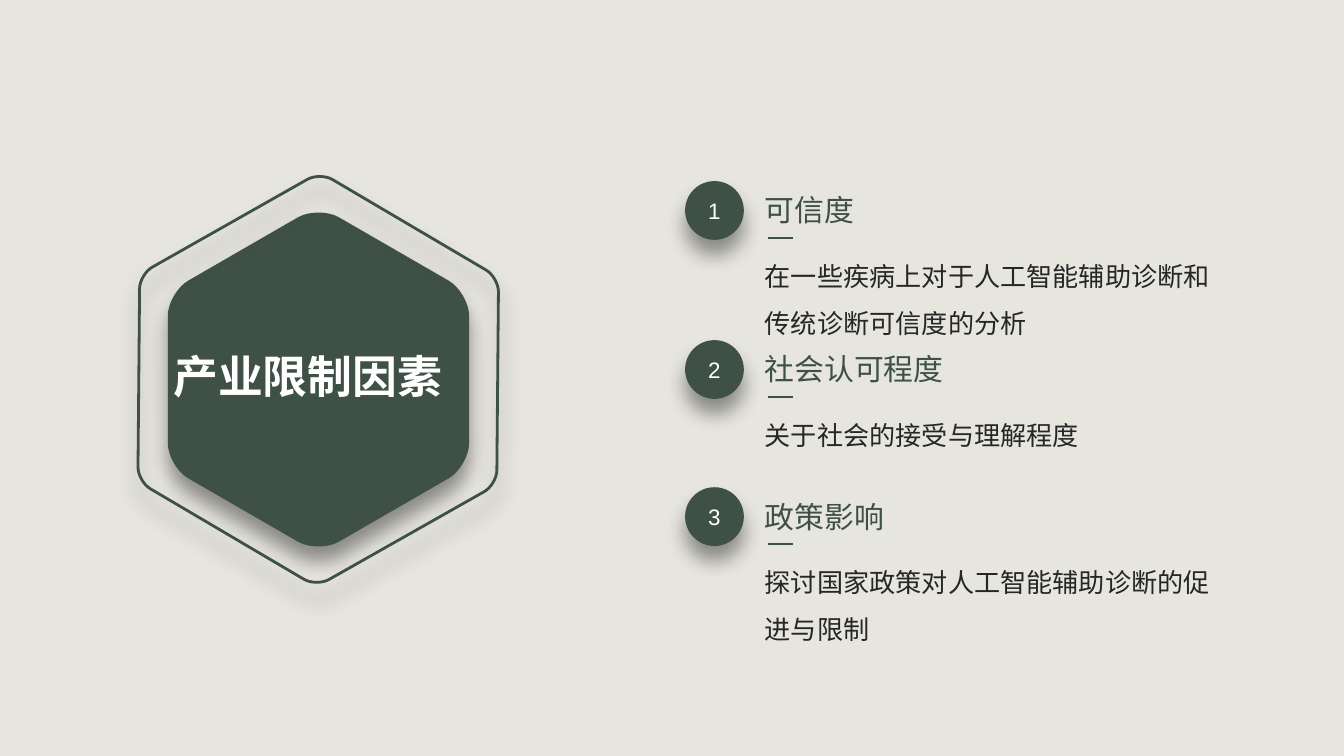
from dataclasses import dataclass
from math import cos, radians, sin

from lxml.etree import SubElement
from pptx import Presentation
from pptx.dml.color import RGBColor
from pptx.enum.shapes import MSO_CONNECTOR, MSO_SHAPE
from pptx.enum.text import MSO_ANCHOR, MSO_AUTO_SIZE, PP_ALIGN
from pptx.oxml.ns import qn
from pptx.util import Pt


@dataclass(frozen=True)
class Theme:
    background: str = "E6E5DE"
    green: str = "3F5146"
    ink: str = "262626"
    white: str = "FFFFFF"
    shadow: str = "000000"
    chinese: str = "Noto Sans CJK SC"
    body: str = "Calibri"
    number: str = "Arial"
    title_size: int = 24
    heading_size: int = 16
    body_size: int = 14
    number_size: int = 12


THEME = Theme()
TITLE = "产业限制因素"
FACTORS = [
    (127.4, "可信度", 62.6, "在一些疾病上对于人工智能辅助诊断和传统诊断可信度的分析", 57.6),
    (212.6, "社会认可程度", 110.4, "关于社会的接受与理解程度", 32.4),
    (291.4, "政策影响", 78.5, "探讨国家政策对人工智能辅助诊断的促进与限制", 57.6),
]


def color(value):
    return RGBColor.from_string(value)


def write(shape, text, size, font, ink, bold=False, align=PP_ALIGN.LEFT, spacing=None):
    para = shape.text_frame.paragraphs[0]
    para.text = text
    para.alignment = align
    if spacing:
        para.line_spacing = spacing
    para.font.size = Pt(size)
    para.font.bold = bold
    para.font.color.rgb = color(ink)
    para.font.name = font
    defaults = para._p.pPr.find(qn("a:defRPr"))
    SubElement(defaults, qn("a:ea"), typeface=THEME.chinese)


def frame_text(shape, wrap):
    frame = shape.text_frame
    frame.word_wrap = wrap
    frame.auto_size = MSO_AUTO_SIZE.SHAPE_TO_FIT_TEXT
    frame.vertical_anchor = MSO_ANCHOR.TOP


def add_text(page, left, top, width, height, wrap, *style, spacing=None):
    box = page.shapes.add_textbox(Pt(left), Pt(top), Pt(width), Pt(height))
    frame_text(box, wrap)
    write(box, *style, spacing=spacing)


def add_shadow(shape):
    shape.shadow.inherit = False
    effects = shape.element.spPr.find(qn("a:effectLst"))
    outer = SubElement(effects, qn("a:outerShdw"), blurRad=str(Pt(11)), dist=str(Pt(8)),
                       dir="5400000", algn="t", rotWithShape="0")
    tint = SubElement(outer, qn("a:srgbClr"), val=THEME.shadow)
    SubElement(tint, qn("a:alpha"), val="40000")


def fill_green(shape):
    shape.fill.solid()
    shape.fill.fore_color.rgb = color(THEME.green)
    shape.line.fill.background()


def hexagon_points(center_x, center_y, radius, cut, first_angle):
    corners = [(center_x + radius * cos(radians(first_angle + 60 * step)),
                center_y + radius * sin(radians(first_angle + 60 * step)))
               for step in range(6)]
    points = []
    for index, corner in enumerate(corners):
        before, after = corners[index - 1], corners[(index + 1) % 6]
        for neighbor, distance in ((before, cut), (before, cut * 0.47),
                                   (after, cut * 0.47), (after, cut)):
            points.append(tuple(Pt(a + (b - a) * distance / radius)
                                for a, b in zip(corner, neighbor)))
    return points


def curve_corners(hexagon):
    segments = list(hexagon.element.iter(qn("a:lnTo")))
    for first in range(0, len(segments), 4):
        group = segments[first:first + 3]
        outline = group[0].getparent()
        curve = SubElement(outline, qn("a:cubicBezTo"))
        outline.replace(group[0], curve)
        for segment in group:
            curve.append(segment[0])
        for segment in group[1:]:
            outline.remove(segment)


def add_hexagon(page, center_x, center_y, radius, cut, first_angle):
    points = hexagon_points(center_x, center_y, radius, cut, first_angle)
    builder = page.shapes.build_freeform(*points[0])
    builder.add_line_segments(points[1:], close=True)
    hexagon = builder.convert_to_shape()
    curve_corners(hexagon)
    add_shadow(hexagon)
    return hexagon


def add_badge(page, number, top):
    badge = page.shapes.add_shape(MSO_SHAPE.OVAL, Pt(367), Pt(top), Pt(31.5), Pt(31.5))
    fill_green(badge)
    add_shadow(badge)
    badge.text_frame.vertical_anchor = MSO_ANCHOR.MIDDLE
    write(badge, str(number), THEME.number_size, THEME.number, THEME.white,
          align=PP_ALIGN.CENTER)


def add_rule(page, y):
    rule = page.shapes.add_connector(MSO_CONNECTOR.STRAIGHT, Pt(411.2), Pt(y), Pt(424.8), Pt(y))
    rule.line.color.rgb = color(THEME.green)
    rule.line.width = Pt(1)
    SubElement(rule.element.spPr, qn("a:effectLst"))


def add_factor(page, number, rule_y, heading, heading_width, detail, detail_height):
    add_text(page, 402.6, rule_y - 28, heading_width, 28, False,
             heading, THEME.heading_size, THEME.chinese, THEME.green)
    add_text(page, 402.6, rule_y, 262, detail_height, True,
             detail, THEME.body_size, THEME.body, THEME.ink, spacing=1.5)
    add_rule(page, rule_y)
    add_badge(page, number, rule_y - 30.4)


def place_title(page):
    title = page.shapes.title
    title.left, title.top, title.width, title.height = Pt(84.7), Pt(183), Pt(160.4), Pt(38)
    frame_text(title, False)
    write(title, TITLE, THEME.title_size, THEME.chinese, THEME.white,
          bold=True, align=PP_ALIGN.CENTER)
    page.shapes.element.append(title.element)


def main():
    deck = Presentation()
    deck.slide_width, deck.slide_height = Pt(720), Pt(405)
    page = deck.slides.add_slide(deck.slide_layouts[5])
    page.background.fill.solid()
    page.background.fill.fore_color.rgb = color(THEME.background)

    for number, factor in enumerate(FACTORS, 1):
        add_factor(page, number, *factor)

    fill_green(add_hexagon(page, 170.6, 203.3, 93.2, 12.5, 30))
    outline = add_hexagon(page, 170.5, 203.3, 111, 7.6, 0)
    outline.rotation = 30.5
    outline.fill.background()
    outline.line.color.rgb = color(THEME.green)
    outline.line.width = Pt(1.5)

    place_title(page)
    deck.save("out.pptx")


main()
